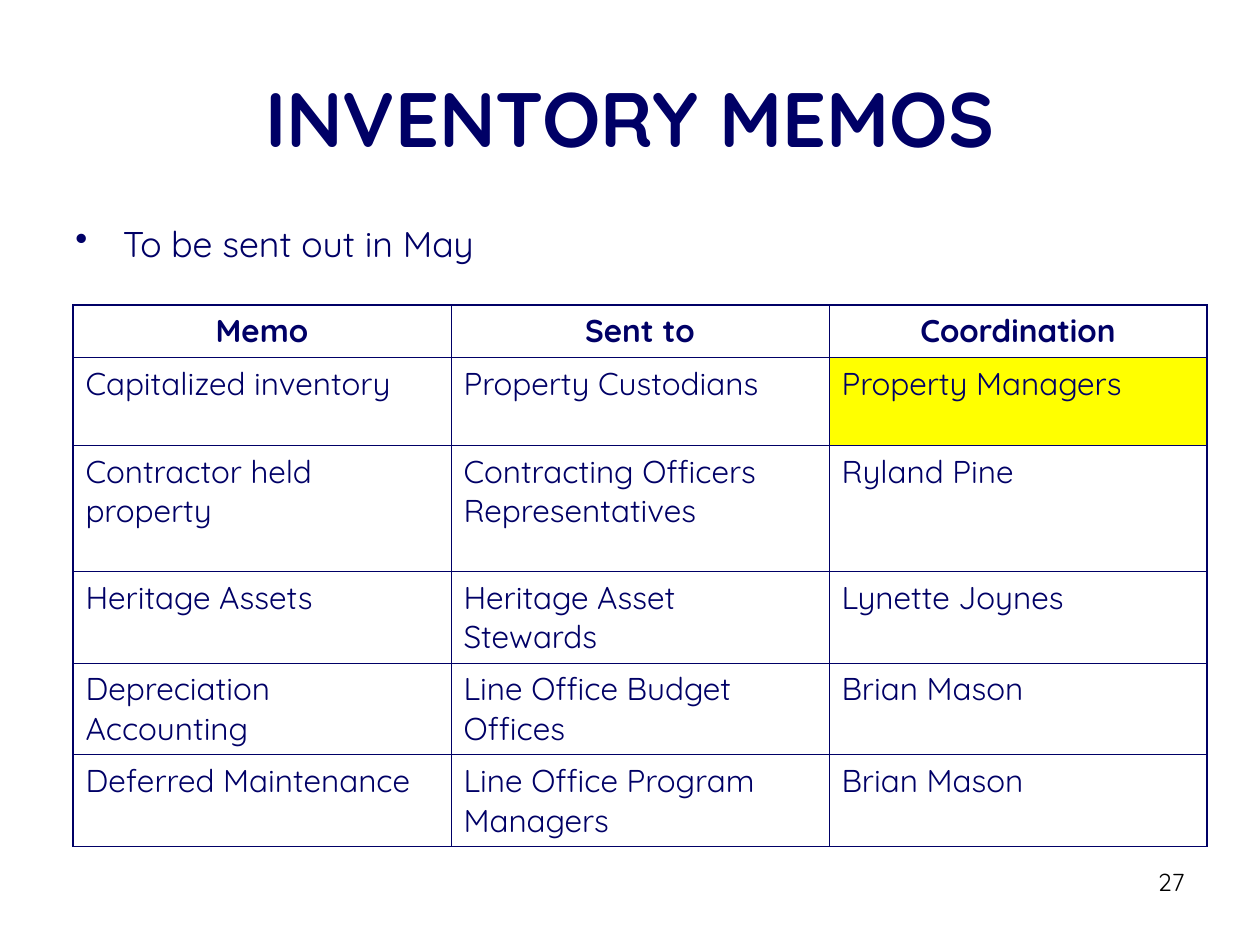
from dataclasses import dataclass

from lxml import etree
from pptx import Presentation
from pptx.dml.color import RGBColor
from pptx.enum.text import MSO_ANCHOR, MSO_AUTO_SIZE, PP_ALIGN
from pptx.oxml.ns import qn
from pptx.util import Cm, Pt

LEFT, CENTER, RIGHT = PP_ALIGN.LEFT, PP_ALIGN.CENTER, PP_ALIGN.RIGHT
TOP, MIDDLE = MSO_ANCHOR.TOP, MSO_ANCHOR.MIDDLE
NO_FIT = MSO_AUTO_SIZE.NONE


@dataclass(frozen=True)
class Theme:
    font: str = "Quicksand"
    navy: str = "000066"
    black: str = "000000"
    mark: str = "FFFF00"
    title: float = 44
    body: float = 20.4
    cell: float = 18
    page: float = 14
    thick: float = 1.08
    thin: float = 0.45


THEME = Theme()

# Boxes in cm: left, top, width, height
TITLE_BOX = (1.27, 0.76, 22.86, 3.18)
NOTE_BOX = (1.27, 4.45, 11.23, 1.47)
TABLE_BOX = (1.47, 6.15, 22.86, 10.67)
PAGE_BOX = (18.21, 17.35, 5.92, 1.32)

ROW_CM = (1.02, 1.78, 2.54, 1.78, 1.78, 1.78)
MEMOS = (
    ("Memo", "Sent to", "Coordination"),
    ("Capitalized inventory", "Property Custodians", "Property Managers"),
    ("Contractor held property", "Contracting Officers Representatives",
     "Ryland Pine"),
    ("Heritage Assets", "Heritage Asset Stewards", "Lynette Joynes"),
    ("Depreciation Accounting", "Line Office Budget Offices", "Brian Mason"),
    ("Deferred Maintenance", "Line Office Program Managers", "Brian Mason"),
)
MARKED = (1, 2)


def apply(item, form):
    for name, value in form.items():
        setattr(item, name, value)


def place(shape, box):
    names = ("left", "top", "width", "height")
    apply(shape, dict(zip(names, map(Cm, box))))


def write(frame, text, size, color=THEME.navy, bold=False, align=LEFT):
    """Fill a text frame with one styled paragraph."""
    para = frame.paragraphs[0]
    run = para.add_run()
    run.text = text
    para.alignment = align
    apply(run.font, {"name": THEME.font, "size": Pt(size), "bold": bold})
    run.font.color.rgb = RGBColor.from_string(color)
    return para


def set_frame(frame, anchor=TOP):
    apply(frame, {"word_wrap": True, "auto_size": NO_FIT,
                  "vertical_anchor": anchor})


def add_bullet(para, indent):
    props = para._p.get_or_add_pPr()
    props.set("marL", str(Cm(indent)))
    props.set("indent", str(-Cm(indent)))
    tint = etree.SubElement(props, qn("a:buClr"))
    etree.SubElement(tint, qn("a:srgbClr"), val=THEME.navy)
    etree.SubElement(props, qn("a:buChar"), char="•")


def add_edge(cell, side, width):
    line = etree.SubElement(cell._tc.get_or_add_tcPr(), qn(f"a:ln{side}"),
                            w=str(Pt(width)))
    fill = etree.SubElement(line, qn("a:solidFill"))
    etree.SubElement(fill, qn("a:srgbClr"), val=THEME.navy)


def add_title(slide, box):
    title = slide.shapes.title
    place(title, box)
    set_frame(title.text_frame, MIDDLE)
    write(title.text_frame, "INVENTORY MEMOS", THEME.title,
          bold=True, align=CENTER)


def add_note(slide, box):
    frame = slide.shapes.add_textbox(*map(Cm, box)).text_frame
    set_frame(frame)
    para = write(frame, "To be sent out in May", THEME.body)
    para.line_spacing = 0.88
    add_bullet(para, 0.96)


def add_memos(slide, box):
    rows, cols = len(MEMOS), len(MEMOS[0])
    table = slide.shapes.add_table(rows, cols, *map(Cm, box)).table
    apply(table, {"first_row": False, "horz_banding": False})
    for col in table.columns:
        col.width = Cm(box[2] / cols)
    for row, height in zip(table.rows, ROW_CM):
        row.height = Cm(height)

    for r, texts in enumerate(MEMOS):
        for c, text in enumerate(texts):
            cell = table.cell(r, c)
            head = r == 0
            write(cell.text_frame, text, THEME.cell, bold=head,
                  align=CENTER if head else LEFT)
            # Thick lines only around the outside
            outer = {"L": c == 0, "R": c == cols - 1,
                     "T": head, "B": r == rows - 1}
            for side, edge in outer.items():
                add_edge(cell, side, THEME.thick if edge else THEME.thin)
            if (r, c) == MARKED:
                cell.fill.solid()
                cell.fill.fore_color.rgb = RGBColor.from_string(THEME.mark)
            else:
                cell.fill.background()


def add_page(slide, box):
    frame = slide.shapes.add_textbox(*map(Cm, box)).text_frame
    set_frame(frame)
    write(frame, "27", THEME.page, THEME.black, align=RIGHT)


def main():
    deck = Presentation()
    apply(deck, {"slide_width": Cm(25.4), "slide_height": Cm(19.05)})
    slide = deck.slides.add_slide(deck.slide_layouts.get_by_name("Title Only"))
    add_title(slide, TITLE_BOX)
    add_note(slide, NOTE_BOX)
    add_memos(slide, TABLE_BOX)
    add_page(slide, PAGE_BOX)
    deck.save("out.pptx")


if __name__ == "__main__":
    main()
